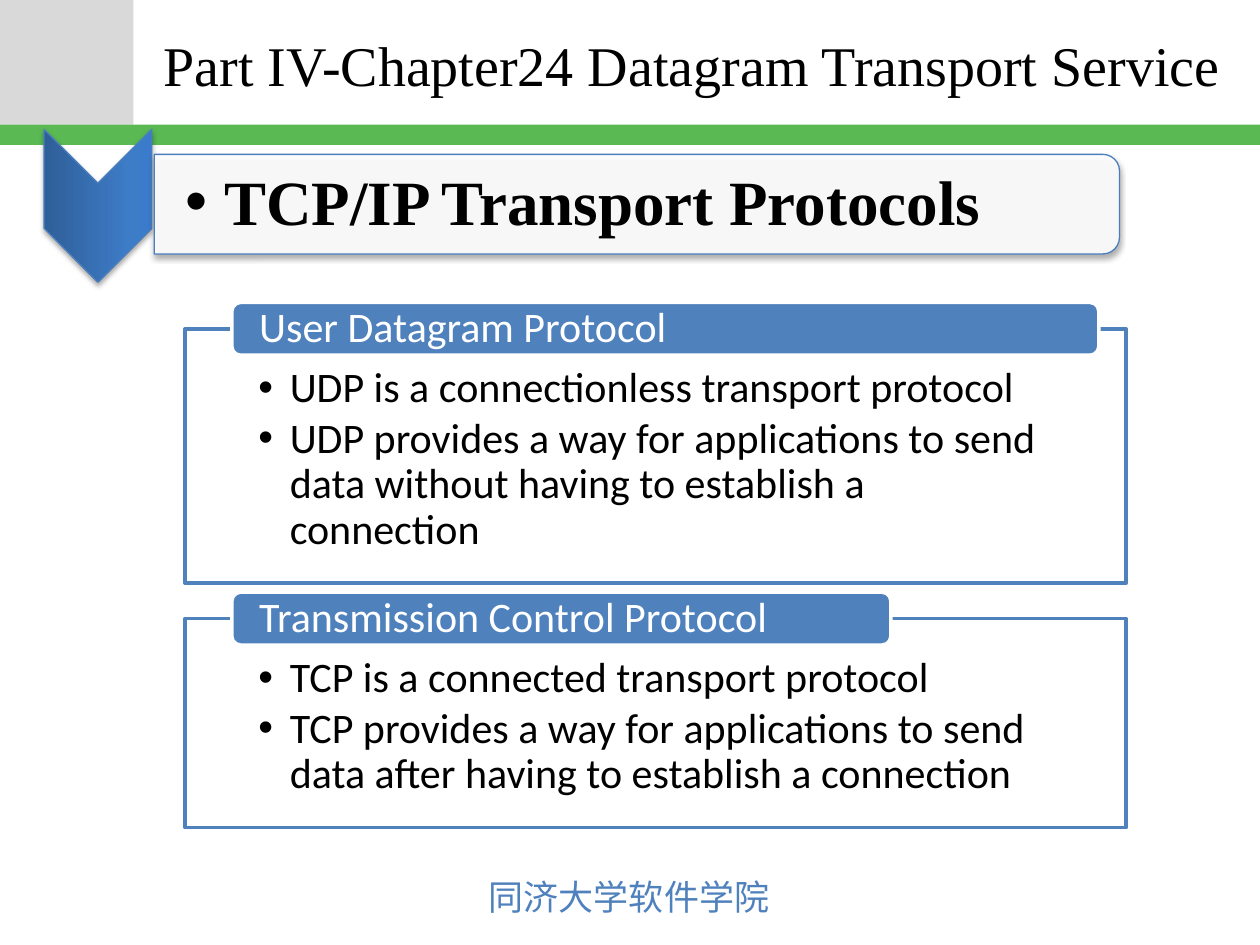
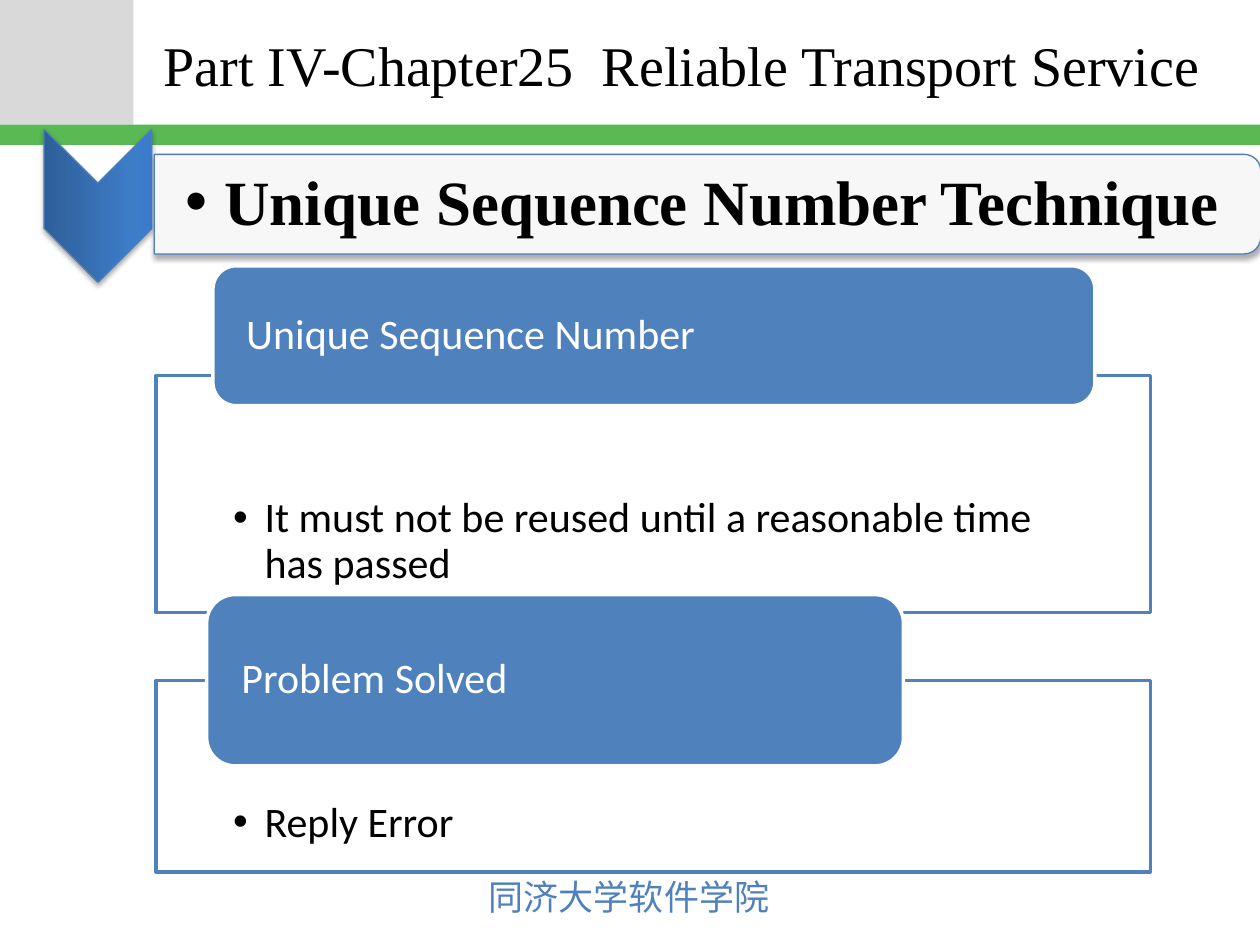
from dataclasses import dataclass
from lxml.etree import SubElement
from pptx import Presentation
from pptx.dml.color import RGBColor
from pptx.enum.shapes import MSO_SHAPE as SHAPE
from pptx.enum.text import MSO_ANCHOR as ANCHOR, MSO_AUTO_SIZE as AUTO, PP_ALIGN as ALIGN
from pptx.oxml import parse_xml
from pptx.oxml.ns import nsdecls, qn
from pptx.util import Pt


@dataclass(frozen=True)
class Theme:
    black: str = "000000"
    white: str = "FFFFFF"
    grey: str = "D9D9D9"
    green: str = "5AB953"
    blue: str = "4F81BD"
    edge: str = "4B7EBC"
    gradient: tuple = ((0, "2F5F99"), (80, "3D7CC7"), (100, "3A7CCB"))
    serif: str = "Times New Roman"
    sans: str = "Calibri"
    cjk: str = "Noto Sans CJK JP"
    title: int = 32
    topic: int = 36
    body: int = 24
    footer: int = 20


T = Theme()
FOOTER = "同济大学软件学院"
SLIDES = [
    dict(
        title="Part IV-Chapter24 Datagram Transport Service",
        topic="TCP/IP Transport Protocols", band_width=551.5,
        left=105.8, width=537.8, inset=(41.8, 21.6), tab_inset=14.2,
        panels=[
            dict(top=187.9, height=145.4, tab=(132.5, 172.8, 495.4, 30.2),
                 head="User Datagram Protocol",
                 points=["UDP is a connectionless transport protocol",
                         "UDP provides a way for applications to send data "
                         "without having to establish a connection"]),
            dict(top=353.5, height=119.5, tab=(132.5, 338.4, 376.6, 30.2),
                 head="Transmission Control Protocol",
                 points=["TCP is a connected transport protocol",
                         "TCP provides a way for applications to send data "
                         "after having to establish a connection"]),
        ]),
    dict(
        title="Part IV-Chapter25  Reliable Transport Service",
        topic="Unique Sequence Number Technique", band_width=632.2,
        left=89.3, width=568.1, inset=(43.9, 69.1), tab_inset=15.1,
        panels=[
            dict(top=214.6, height=135.4, tab=(121.7, 151.9, 504, 79.9),
                 head="Unique Sequence Number",
                 points=["It must not be reused until a reasonable time has passed"]),
            dict(top=388.8, height=109.4, tab=(118.1, 339.8, 398.2, 97.9),
                 head="Problem Solved", points=["Reply Error"]),
        ]),
]


def rgb(color):
    return RGBColor.from_string(color)


def add_box(s, kind, box, fill, line=None, weight=2):
    sp = s.shapes.add_shape(kind, *map(Pt, box))
    sp.shadow.inherit = False
    sp.fill.solid()
    sp.fill.fore_color.rgb = rgb(fill)
    if line:
        sp.line.color.rgb = rgb(line)
        sp.line.width = Pt(weight)
    else:
        sp.line.fill.background()
    return sp


def add_turned(s, kind, box):
    left, top, width, height = box
    turned = (left + (width - height) / 2, top + (height - width) / 2, height, width)
    sp = add_box(s, kind, turned, T.white, T.edge, 0.75)
    sp.rotation = 90
    effects = sp._element.spPr.find(qn("a:effectLst"))
    shadow = SubElement(effects, qn("a:outerShdw"), blurRad=str(Pt(3.1)),
                        dist=str(Pt(1.8)), dir="5400000", rotWithShape="0")
    color = SubElement(shadow, qn("a:srgbClr"), val=T.black)
    SubElement(color, qn("a:alpha"), val="35000")
    return sp


def write(sp, lines, font, size, color, margins=(7.2, 3.6, 7.2, 3.6),
          anchor=ANCHOR.MIDDLE, bold=False, indent=0, spacing=None):
    tf = sp.text_frame
    tf.auto_size = AUTO.NONE
    tf.word_wrap = True
    tf.vertical_anchor = anchor
    tf.margin_left, tf.margin_top, tf.margin_right, tf.margin_bottom = map(Pt, margins)
    tf.text = "\n".join(lines)
    for p in tf.paragraphs:
        p.alignment = ALIGN.LEFT
        p.line_spacing = spacing
        f = p.runs[0].font
        f.name, f.size, f.bold = font, Pt(size), bold
        f.color.rgb = rgb(color)
        if indent:
            p.space_after = Pt(3)
            pPr = p._p.get_or_add_pPr()
            pPr.set("marL", str(Pt(indent)))
            pPr.set("indent", str(-Pt(indent)))
            SubElement(pPr, qn("a:buFont"), typeface="Arial")
            SubElement(pPr, qn("a:buChar"), char="•")
    return tf


def add_frame(s, title):
    add_box(s, SHAPE.RECTANGLE, (0, 0, 76.3, 71.3), T.grey)
    add_box(s, SHAPE.RECTANGLE, (0, 71.3, 720, 11.5), T.green)
    footer = s.shapes.add_textbox(*map(Pt, (272.2, 496.8, 176.4, 31.7)))
    tf = write(footer, [FOOTER], T.cjk, T.footer, T.blue, anchor=ANCHOR.TOP)
    tf.word_wrap = False
    rPr = tf.paragraphs[0].runs[0]._r.get_or_add_rPr()
    SubElement(rPr, qn("a:ea"), typeface=T.cjk)
    sp = s.shapes.title
    sp.left, sp.top, sp.width, sp.height = map(Pt, (86.4, 1.4, 619.2, 70.6))
    write(sp, [title], T.serif, T.title, T.black)


def add_topic(s, topic, width):
    chevron = add_turned(s, SHAPE.CHEVRON, (25.2, 73.9, 61.5, 87.4))
    stops = "".join(f'<a:gs pos="{pos * 1000}"><a:srgbClr val="{color}"/></a:gs>'
                    for pos, color in T.gradient)
    spPr = chevron._element.spPr
    spPr.replace(spPr.find(qn("a:solidFill")), parse_xml(
        f'<a:gradFill {nsdecls("a")} rotWithShape="1"><a:gsLst>{stops}</a:gsLst>'
        '<a:lin ang="16200000" scaled="0"/></a:gradFill>'))
    band = add_turned(s, SHAPE.ROUND_2_SAME_RECTANGLE, (88.2, 88.2, width, 56.9))
    color = band._element.spPr.find(qn("a:solidFill"))[0]
    SubElement(color, qn("a:alpha"), val="90000")
    label = s.shapes.add_textbox(*map(Pt, (87.8, 91.4, width - 2.5, 51.1)))
    write(label, [topic], T.serif, T.topic, T.black, (18, 1.4, 1.4, 1.4),
          bold=True, indent=22.5, spacing=0.9)


def add_panel(s, data, panel):
    side, top = data["inset"]
    box = (data["left"], panel["top"], data["width"], panel["height"])
    body = add_box(s, SHAPE.RECTANGLE, box, T.white, T.blue)
    write(body, panel["points"], T.sans, T.body, T.black, (side, top, side, 13.7),
          ANCHOR.TOP, indent=18, spacing=0.9)
    tab = add_box(s, SHAPE.ROUNDED_RECTANGLE, panel["tab"], T.blue, T.white)
    gap = data["tab_inset"]
    write(tab, [panel["head"]], T.sans, T.body, T.white, (gap, 0, gap, 0), spacing=0.9)


def main():
    prs = Presentation()
    prs.slide_width, prs.slide_height = Pt(720), Pt(540)
    for data in SLIDES:
        s = prs.slides.add_slide(prs.slide_layouts[5])
        add_frame(s, data["title"])
        add_topic(s, data["topic"], data["band_width"])
        for panel in data["panels"]:
            add_panel(s, data, panel)
    prs.save("out.pptx")


if __name__ == "__main__":
    main()
